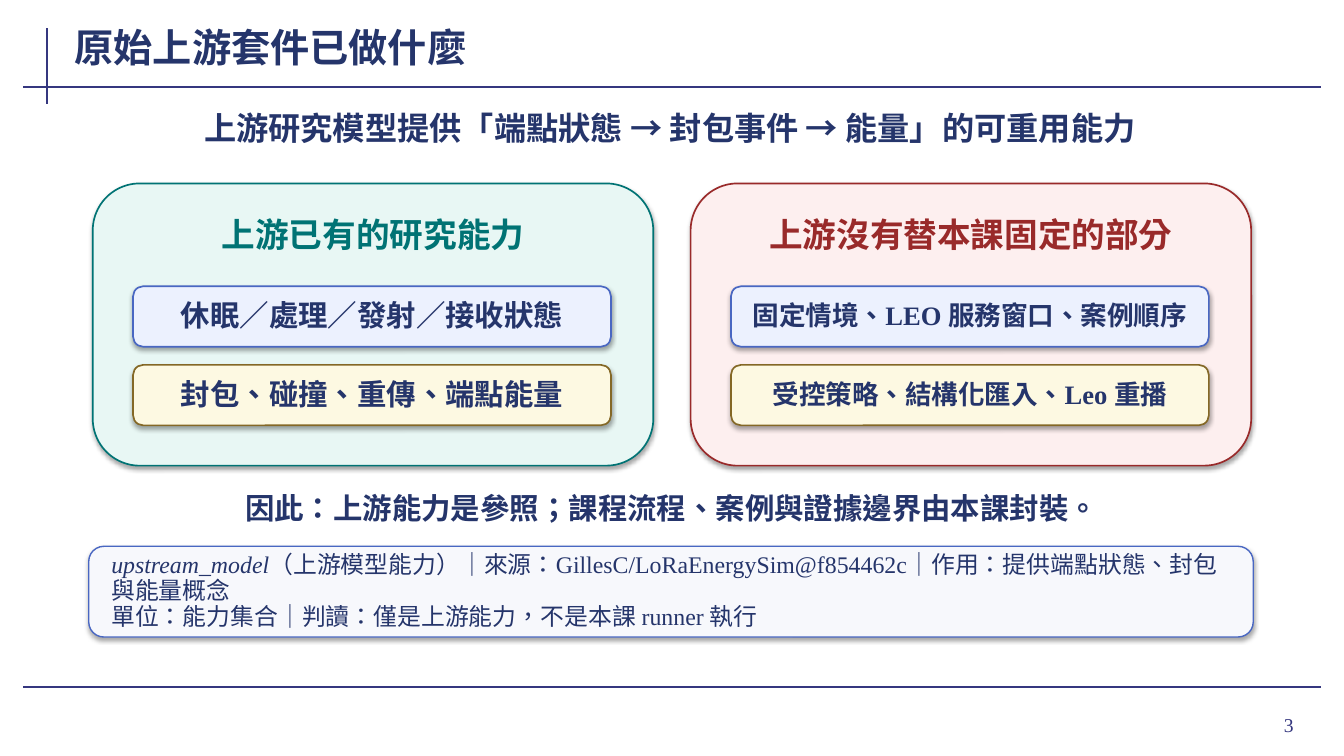
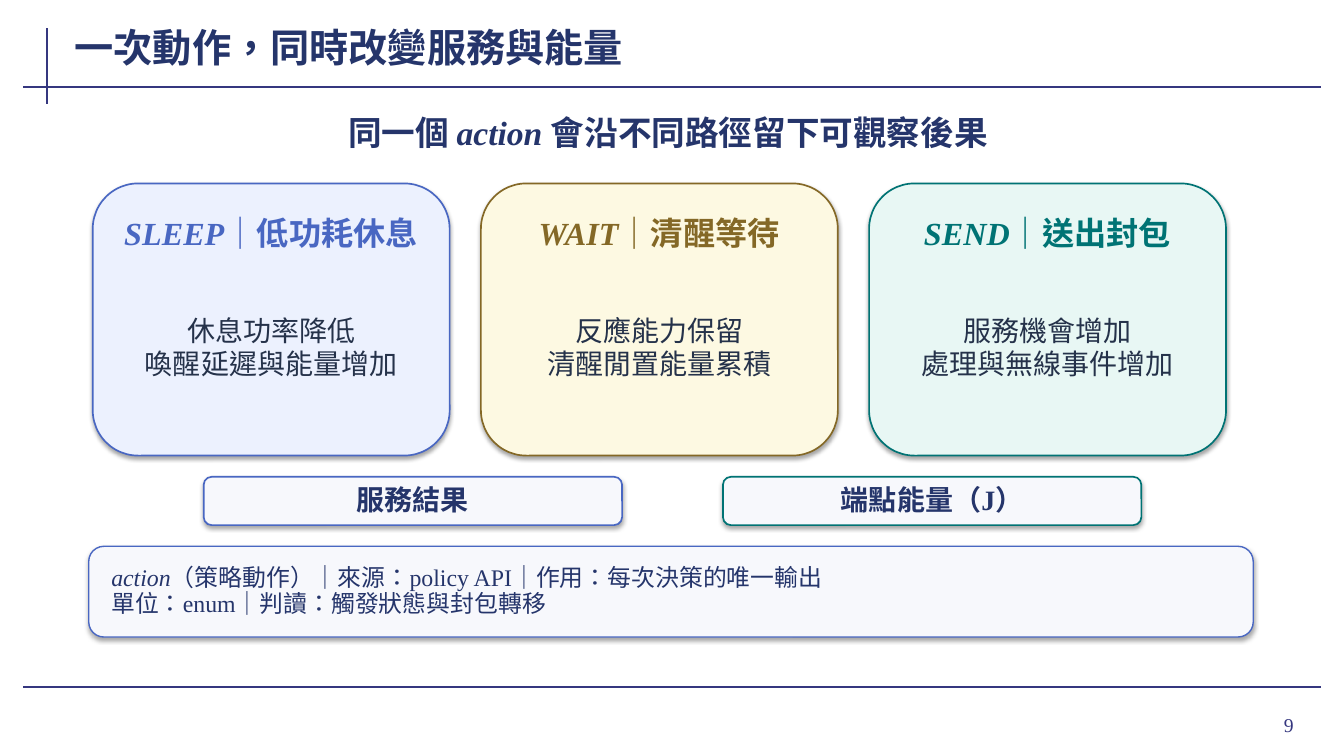
from pptx import Presentation
from pptx import util as u
from pptx.dml.color import RGBColor
from pptx.enum import lang, shapes, text
from pptx.oxml import parse_xml
from pptx.oxml.ns import nsdecls, qn

PX = 9144  # EMU per px, 100 px to the inch
FONT = "Times New Roman"
COLOURS = {
    "rule": "35377F", "ink": "25356B", "body": "25324A",
    "blue": "4967C2", "blue_pale": "ECF1FE",
    "gold": "846826", "gold_pale": "FDF9E2",
    "teal": "007374", "teal_pale": "E8F7F4",
    "red": "992A2A", "red_pale": "FDEFEF",
    "mist": "F7F8FC",
}
CENTER, LEFT, RIGHT = text.PP_ALIGN.CENTER, text.PP_ALIGN.LEFT, text.PP_ALIGN.RIGHT


def colour(name):
    return RGBColor.from_string(COLOURS[name])


def px(*lengths):
    return [u.Emu(length * PX) for length in lengths]


# Text and shape helpers
def write(box, content, size=20, ink="ink", bold=False, align=CENTER,
          inset=(2, 1), spacing=None):
    """Fill a box; lines split at newlines, *asterisks* mark italics."""
    frame = box.text_frame
    frame.word_wrap = True
    frame.vertical_anchor = text.MSO_ANCHOR.MIDDLE
    frame.margin_left, frame.margin_top = px(*inset)
    frame.margin_right, frame.margin_bottom = px(*inset)
    for row, line in enumerate(content.split("\n")):
        para = frame.add_paragraph() if row else frame.paragraphs[0]
        para.alignment = align
        if spacing:
            para.line_spacing = spacing
        for part, words in enumerate(line.split("*")):
            if not words:
                continue
            span = para.add_run()
            span.text = words
            font = span.font
            font.name, font.size, font.bold = FONT, u.Pt(size), bold
            font.italic = part % 2 == 1
            font.color.rgb = colour(ink)
            font.language_id = lang.MSO_LANGUAGE_ID.TRADITIONAL_CHINESE


def add_text(page, area, content, **style):
    write(page.shapes.add_textbox(*px(*area)), content, **style)


def add_panel(page, area, fill, line, weight=1.2):
    """Rounded box with a soft shadow below it."""
    panel = page.shapes.add_shape(shapes.MSO_SHAPE.ROUNDED_RECTANGLE, *px(*area))
    panel.fill.solid()
    panel.fill.fore_color.rgb = colour(fill)
    panel.line.color.rgb = colour(line)
    panel.line.width = u.Pt(weight)
    panel.shadow.inherit = False
    panel._element.spPr.find(qn("a:effectLst")).append(parse_xml(
        f'<a:outerShdw {nsdecls("a")} blurRad="40000" dist="23000" dir="5400000"'
        ' rotWithShape="0"><a:srgbClr val="000000"><a:alpha val="35000"/>'
        '</a:srgbClr></a:outerShdw>'))
    return panel


def add_pill(page, area, content, fill, line, size=20):
    write(add_panel(page, area, fill, line), content, size=size, bold=True,
          inset=(12, 5), spacing=0.95)


def add_rule(page, *ends):
    rule = page.shapes.add_connector(shapes.MSO_CONNECTOR.STRAIGHT, *px(*ends))
    rule.line.color.rgb = colour("rule")
    rule.line.width = u.Pt(1.5)
    rule._element.spPr.append(parse_xml(f'<a:effectLst {nsdecls("a")}/>'))


# Parts shared by all pages
def add_page(deck, title, number):
    page = deck.slides.add_slide(deck.slide_layouts[6])
    add_rule(page, 47, 28, 47, 103)
    for y in (86, 682):
        add_rule(page, 23, y, 1310, y)
    add_text(page, (1196, 693, 97, 52), str(number), size=14, ink="rule",
             align=RIGHT, inset=(10, 5))
    add_text(page, (72, 20, 1035, 53), title, size=28, bold=True,
             align=LEFT, inset=(2, 0))
    return page


def add_note(page, content):
    note = add_panel(page, (88, 542, 1155, 90), "mist", "blue", weight=1)
    write(note, content, size=17, align=LEFT, inset=(18, 5), spacing=0.92)


# Cards
def ability_card(page, area, tone, heading, items, size):
    left, top, width, height = area
    add_panel(page, area, f"{tone}_pale", tone)
    add_text(page, (left + 30, top + 26, width - 60, 48), heading,
             size=24, ink=tone, bold=True)
    for row, (item, pill_tone) in enumerate(zip(items, ("blue", "gold"))):
        add_pill(page, (left + 40, top + 102 + 78 * row, width - 82, 60), item,
                 f"{pill_tone}_pale", pill_tone, size)


def action_card(page, area, tone, heading, body):
    left, top, width, height = area
    add_panel(page, area, f"{tone}_pale", tone)
    add_text(page, (left + 18, top + 21, width - 36, 56), heading,
             size=23, ink=tone, bold=True)
    add_text(page, (left + 26, top + 103, width - 52, 118), body, ink="body")


# Pages
def upstream_page(deck):
    page = add_page(deck, "原始上游套件已做什麼", 3)
    add_text(page, (100, 102, 1130, 50),
             "上游研究模型提供「端點狀態 → 封包事件 → 能量」的可重用能力",
             size=23, bold=True)
    cards = [
        ("teal", "上游已有的研究能力",
         ("休眠／處理／發射／接收狀態", "封包、碰撞、重傳、端點能量"), 21),
        ("red", "上游沒有替本課固定的部分",
         ("固定情境、LEO 服務窗口、案例順序", "受控策略、結構化匯入、Leo 重播"), 19),
    ]
    for column, card in enumerate(cards):
        ability_card(page, (92 + 593 * column, 182, 556, 280), *card)
    add_text(page, (110, 484, 1112, 40),
             "因此：上游能力是參照；課程流程、案例與證據邊界由本課封裝。",
             size=21, bold=True)
    add_note(page, "*upstream_model*（上游模型能力）｜來源：GillesC/LoRaEnergySim@f854462c"
                   "｜作用：提供端點狀態、封包與能量概念\n"
                   "單位：能力集合｜判讀：僅是上游能力，不是本課 runner 執行")


def action_page(deck):
    page = add_page(deck, "一次動作，同時改變服務與能量", 9)
    add_text(page, (105, 105, 1115, 52),
             "同一個 *action* 會沿不同路徑留下可觀察後果", size=24, bold=True)
    cards = [
        ("blue", "*SLEEP*｜低功耗休息", "休息功率降低\n喚醒延遲與能量增加"),
        ("gold", "*WAIT*｜清醒等待", "反應能力保留\n清醒閒置能量累積"),
        ("teal", "*SEND*｜送出封包", "服務機會增加\n處理與無線事件增加"),
    ]
    for column, card in enumerate(cards):
        action_card(page, (92 + 385 * column, 182, 354, 270), *card)
    results = [("服務結果", "blue"), ("端點能量（J）", "teal")]
    for column, (label, tone) in enumerate(results):
        add_pill(page, (202 + 515 * column, 473, 415, 48), label, "mist", tone)
    add_note(page, "*action*（策略動作）｜來源：policy API｜作用：每次決策的唯一輸出\n"
                   "單位：enum｜判讀：觸發狀態與封包轉移")


def main():
    deck = Presentation()
    deck.slide_width, deck.slide_height = px(1333, 750)
    upstream_page(deck)
    action_page(deck)
    deck.save("out.pptx")


if __name__ == "__main__":
    main()
